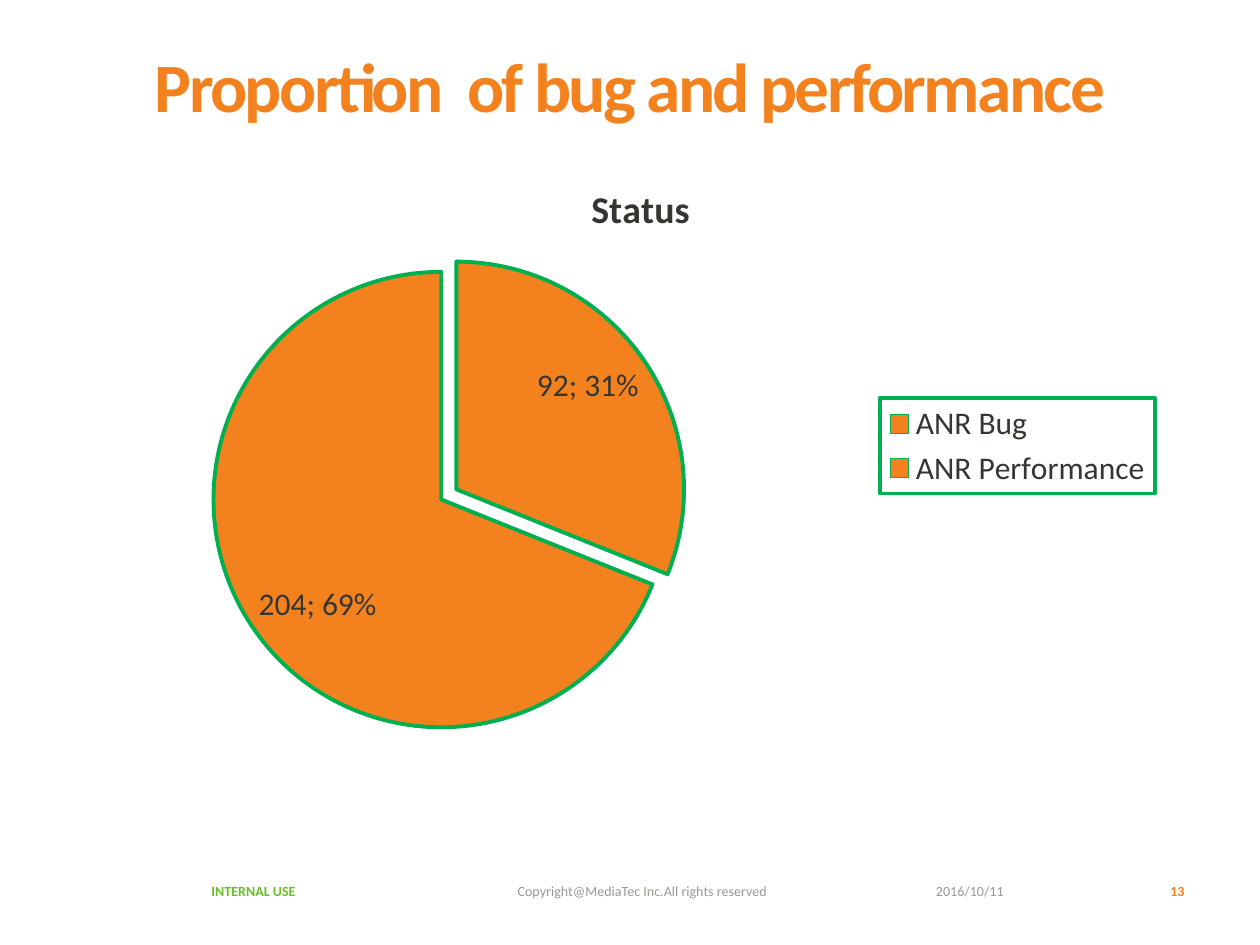
from lxml import etree
from pptx import Presentation
from pptx.chart.data import CategoryChartData
from pptx.dml.color import RGBColor
from pptx.enum.chart import XL_CHART_TYPE, XL_LABEL_POSITION, XL_LEGEND_POSITION
from pptx.enum.text import MSO_ANCHOR, PP_ALIGN
from pptx.oxml import parse_xml
from pptx.oxml.ns import nsdecls, qn
from pptx.util import Inches, Pt

ORANGE = RGBColor(0xF3, 0x82, 0x1E)
GREEN = RGBColor(0x00, 0xB0, 0x50)
LIME = RGBColor(0x69, 0xBE, 0x28)
GRAY = RGBColor(0x99, 0x9A, 0x94)
DARK = RGBColor(0x35, 0x36, 0x30)

PIE_AREA = {"x": 0.093, "y": 0.198, "w": 0.434, "h": 0.79}
EXPLOSION = 8


class SlideBuilder:
    font_name = "Calibri"
    outline_width = Pt(2.25)

    def __init__(self, presentation):
        self.slide = presentation.slides.add_slide(presentation.slide_layouts[5])

    def style_font(self, font, size, color, bold=False):
        values = {"name": self.font_name, "size": Pt(size), "bold": bold}
        for attribute, value in values.items():
            setattr(font, attribute, value)
        font.color.rgb = color

    def title(self, text, left, top, width, height):
        heading = self.slide.shapes.title
        box = {"left": left, "top": top, "width": width, "height": height}
        for attribute, value in box.items():
            setattr(heading, attribute, Inches(value))
        frame = heading.text_frame
        frame.text = text
        frame.vertical_anchor = MSO_ANCHOR.TOP
        frame.margin_top = 0
        paragraph = frame.paragraphs[0]
        paragraph.alignment = PP_ALIGN.CENTER
        paragraph.line_spacing = 0.8
        run = paragraph.runs[0]
        self.style_font(run.font, 39.6, ORANGE, bold=True)
        run.font._element.set("spc", "-150")

    def footer(self, text, left, width, color, bold=False, align=PP_ALIGN.LEFT):
        box = self.slide.shapes.add_textbox(
            Inches(left), Inches(6.87), Inches(width), Inches(0.4))
        frame = box.text_frame
        frame.word_wrap = True
        frame.vertical_anchor = MSO_ANCHOR.MIDDLE
        frame.text = text
        paragraph = frame.paragraphs[0]
        paragraph.alignment = align
        self.style_font(paragraph.runs[0].font, 8, color, bold)

    def pie(self, name, counts, left, top, width, height):
        data = CategoryChartData()
        data.categories = list(counts)
        data.add_series(name, list(counts.values()))
        chart = self.slide.shapes.add_chart(
            XL_CHART_TYPE.PIE, Inches(left), Inches(top),
            Inches(width), Inches(height), data).chart
        self.style_font(chart.font, 18, DARK)

        chart.has_title = True
        chart.chart_title.text_frame.text = name
        heading = chart.chart_title.text_frame.paragraphs[0].runs[0]
        self.style_font(heading.font, 21.6, DARK, bold=True)

        plot = chart.plots[0]
        plot.vary_by_categories = False
        for index in range(len(counts)):
            slice_format = plot.series[0].points[index].format
            slice_format.fill.solid()
            slice_format.fill.fore_color.rgb = ORANGE
            slice_format.line.color.rgb = GREEN
            slice_format.line.width = self.outline_width
        self.explode_first(plot.series[0])
        self.label_slices(plot)
        self.place_pie(chart)
        self.outline_legend(chart)

    def explode_first(self, series):
        point = series._element.find(qn("c:dPt"))
        point.find(qn("c:spPr")).addprevious(
            parse_xml(f'<c:explosion {nsdecls("c")} val="{EXPLOSION}"/>'))

    def label_slices(self, plot):
        plot.has_data_labels = True
        labels = plot.data_labels
        values = {"show_value": True, "show_percentage": True,
                  "position": XL_LABEL_POSITION.INSIDE_END}
        for attribute, value in values.items():
            setattr(labels, attribute, value)
        self.style_font(labels.font, 18, DARK)
        separator = etree.Element(qn("c:separator"))
        separator.text = "; "
        labels._element.find(qn("c:showBubbleSize")).addnext(separator)

    def place_pie(self, chart):
        area = chart._chartSpace.chart.plotArea
        for layout in area.findall(qn("c:layout")):
            area.remove(layout)
        sizes = "".join(f'<c:{key} val="{value}"/>' for key, value in PIE_AREA.items())
        area.insert(0, parse_xml(
            f'<c:layout {nsdecls("c")}><c:manualLayout><c:layoutTarget val="inner"/>'
            f'<c:xMode val="edge"/><c:yMode val="edge"/>{sizes}'
            '</c:manualLayout></c:layout>'))

    def outline_legend(self, chart):
        chart.has_legend = True
        legend = chart.legend
        legend.position = XL_LEGEND_POSITION.RIGHT
        legend.include_in_layout = False
        self.style_font(legend.font, 18, DARK)
        legend._element.find(qn("c:txPr")).addprevious(parse_xml(
            f'<c:spPr {nsdecls("c", "a")}><a:ln w="{self.outline_width}">'
            f'<a:solidFill><a:srgbClr val="{GREEN}"/></a:solidFill></a:ln></c:spPr>'))


def main():
    presentation = Presentation()
    presentation.slide_width = Inches(10)
    presentation.slide_height = Inches(7.5)
    builder = SlideBuilder(presentation)
    builder.title("Proportion  of bug and performance", 0.5, 0.47, 9, 1.39)
    builder.pie("Status", {"ANR Bug": 92, "ANR Performance": 204},
                0.92, 1.25, 8.33, 4.58)
    builder.footer("INTERNAL USE", 1.58, 1.76, LIME, bold=True)
    builder.footer("Copyright@MediaTec Inc.All rights reserved", 4.01, 3.32, GRAY)
    builder.footer("2016/10/11", 7.33, 1.01, GRAY)
    builder.footer("13", 8.34, 1.16, ORANGE, bold=True, align=PP_ALIGN.RIGHT)
    presentation.save("out.pptx")


if __name__ == "__main__":
    main()
